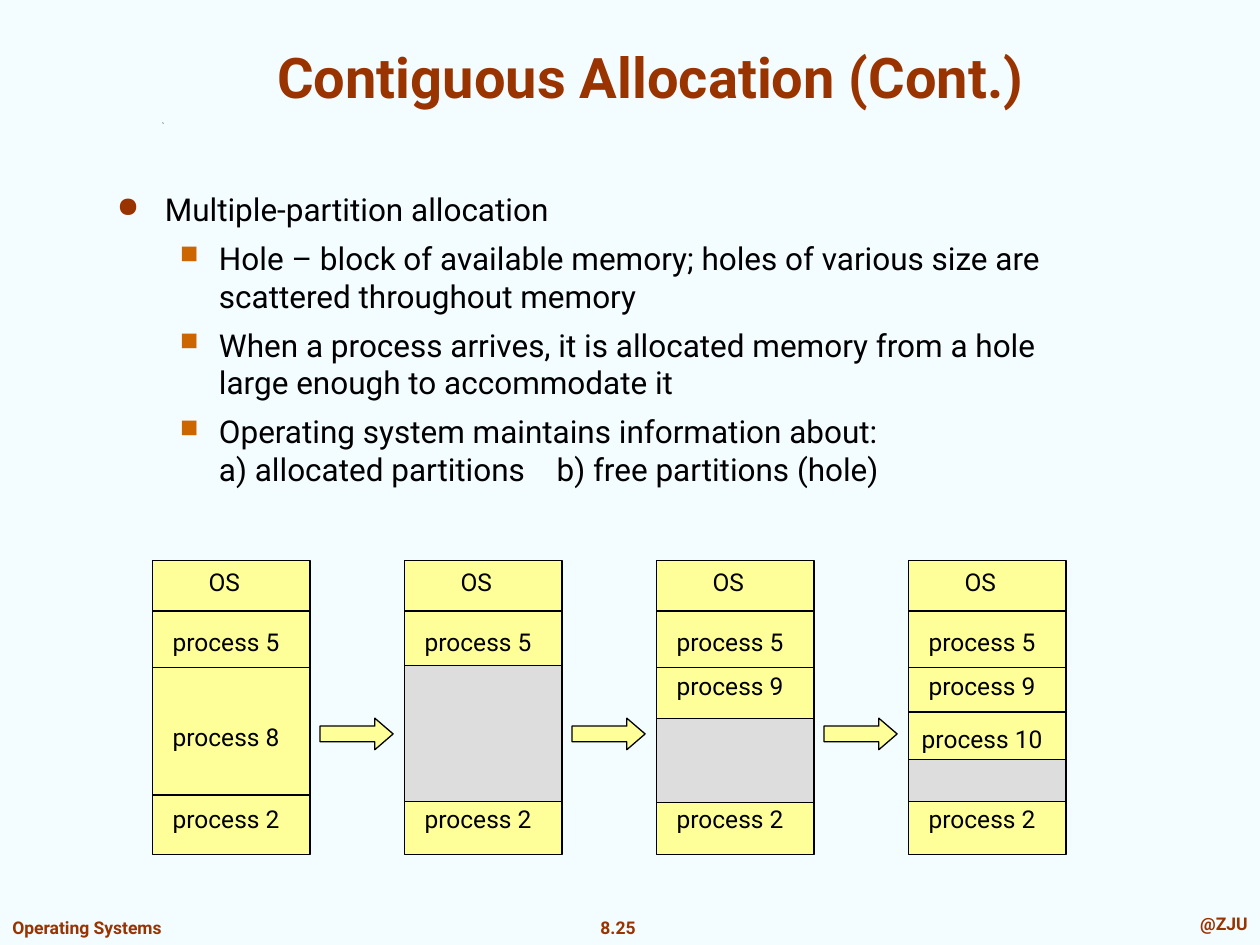
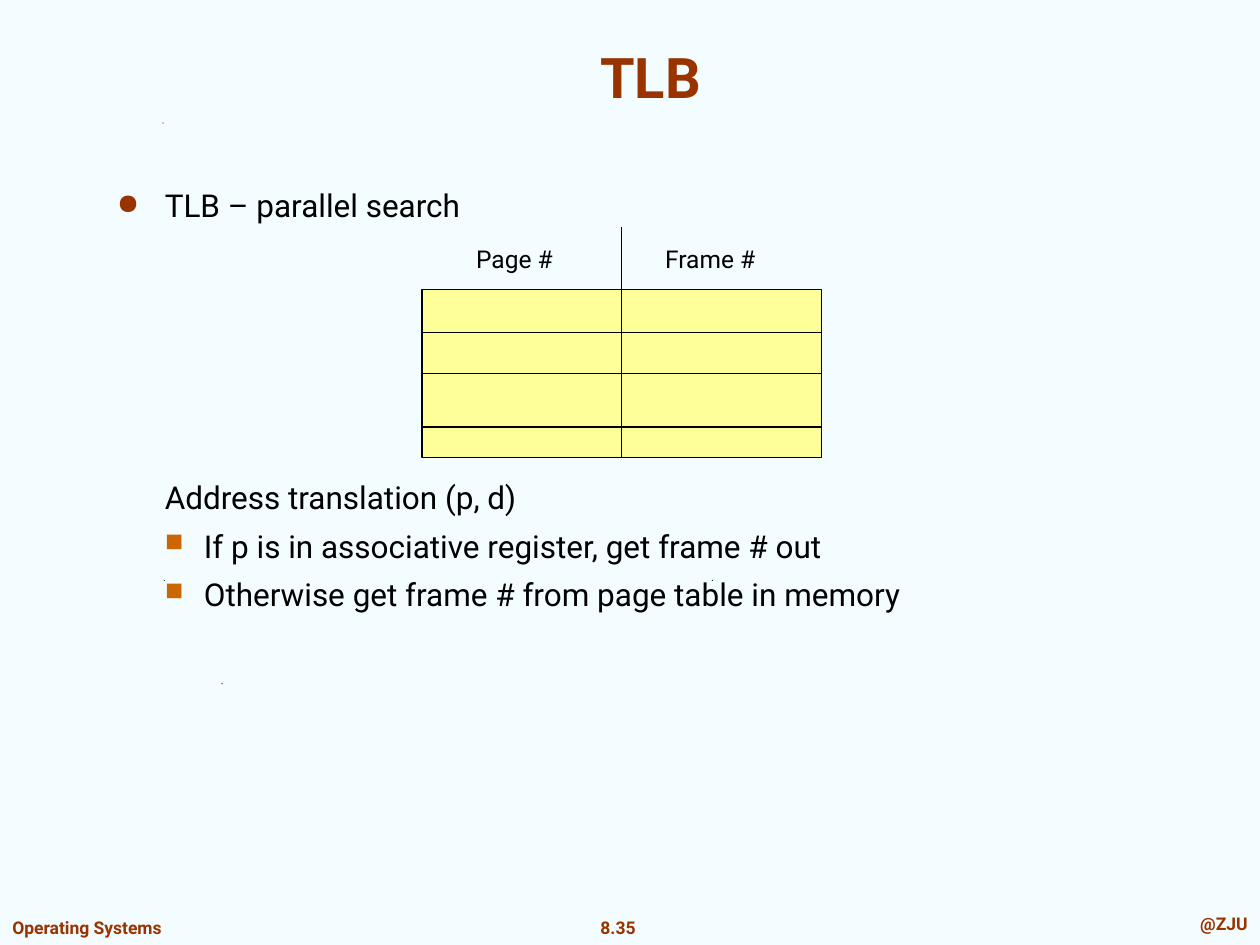
from typing import NamedTuple, Optional

from lxml import etree
from pptx import Presentation
from pptx import util as u
from pptx.dml.color import RGBColor
from pptx.enum import shapes, text
from pptx.oxml import ns

FONT = "Roboto"
INK, RUST, AMBER = "000000", "993300", "CC6600"
PAPER, YELLOW, GREY = "F3FCFF", "FFFF99", "DDDDDD"
LEFT, CENTER, RIGHT = text.PP_ALIGN.LEFT, text.PP_ALIGN.CENTER, text.PP_ALIGN.RIGHT
TOP, MIDDLE, BOTTOM = (
    text.MSO_ANCHOR.TOP, text.MSO_ANCHOR.MIDDLE, text.MSO_ANCHOR.BOTTOM
)
BODY_SPACE = 6.3
SPACE_GAP = 13.4


class Area(NamedTuple):
    left: float
    top: float
    width: float
    height: float


class Style(NamedTuple):
    size: float
    color: str = INK
    bold: bool = False
    align: text.PP_ALIGN = LEFT
    anchor: text.MSO_ANCHOR = TOP
    wrap: bool = True


class Bullet(NamedTuple):
    mark: str
    color: str
    percent: int


class Item(NamedTuple):
    lines: list[list[str]]
    margin: float
    hanging: float = 0
    bullet: Optional[Bullet] = None
    level: int = 0
    before: float = BODY_SPACE


class Label(NamedTuple):
    words: str
    top: float


class Memory(NamedTuple):
    labels: list[Label]
    hole: Optional[tuple[float, float]] = None
    extra_divider: Optional[float] = None


TITLE = Style(32, RUST, True, CENTER, BOTTOM)
BODY = Style(18)
LABEL = Style(14, align=CENTER, anchor=MIDDLE)
HEADING = Style(14, anchor=MIDDLE, wrap=False)
FOOTER = Style(10, RUST, True, wrap=False)
DISC = Bullet("●", RUST, 90)
SQUARE = Bullet("■", AMBER, 80)


def rgb(value: str) -> RGBColor:
    return RGBColor.from_string(value)


def inches(area: Area) -> list[u.Length]:
    return [u.Inches(value) for value in area]


def add_span(para, words: str, style: Style):
    span = para.add_run()
    span.text = words
    span.font.name = FONT
    span.font.size = u.Pt(style.size)
    span.font.bold = style.bold
    span.font.color.rgb = rgb(style.color)
    return span


def add_box(page, area: Area, style: Style):
    box = page.shapes.add_textbox(*inches(area))
    frame = box.text_frame
    frame.word_wrap = style.wrap
    frame.vertical_anchor = style.anchor
    frame.paragraphs[0].alignment = style.align
    return frame


def add_text(page, words: str, area: Area, style: Style) -> None:
    add_span(add_box(page, area, style).paragraphs[0], words, style)


def set_bullet(para, item: Item) -> None:
    props = para._p.get_or_add_pPr()
    props.set("marL", str(u.Inches(item.margin)))
    props.set("indent", str(u.Inches(-item.hanging)))
    if item.bullet is None:
        etree.SubElement(props, ns.qn("a:buNone"))
        return
    tint = etree.SubElement(props, ns.qn("a:buClr"))
    etree.SubElement(tint, ns.qn("a:srgbClr")).set("val", item.bullet.color)
    size = etree.SubElement(props, ns.qn("a:buSzPct"))
    size.set("val", str(item.bullet.percent * 1000))
    etree.SubElement(props, ns.qn("a:buChar")).set("char", item.bullet.mark)


def add_body(page, area: Area, items: list[Item]) -> None:
    frame = add_box(page, area, BODY)
    for index, item in enumerate(items):
        para = frame.add_paragraph() if index else frame.paragraphs[0]
        set_bullet(para, item)
        para.level = item.level
        if index:
            para.space_before = u.Pt(item.before)
        for row, parts in enumerate(item.lines):
            if row:
                para.add_line_break()
            for column, words in enumerate(parts):
                if column:
                    gap = add_span(para, " ", BODY)
                    gap.font._element.set("spc", str(round(SPACE_GAP * 100)))
                add_span(para, words, BODY)


def add_block(page, area: Area, fill: str, kind=shapes.MSO_SHAPE.RECTANGLE):
    block = page.shapes.add_shape(kind, *inches(area))
    block.shadow.inherit = False
    block.fill.solid()
    block.fill.fore_color.rgb = rgb(fill)
    block.line.color.rgb = rgb(INK)
    block.line.width = u.Pt(0.75)
    return block


def add_line(page, x1: float, y1: float, x2: float, y2: float):
    line = page.shapes.add_connector(
        shapes.MSO_CONNECTOR.STRAIGHT, *(u.Inches(v) for v in (x1, y1, x2, y2))
    )
    line.line.color.rgb = rgb(INK)
    line.line.width = u.Pt(0.75)
    etree.SubElement(line._element.spPr, ns.qn("a:effectLst"))
    return line


def add_speck(page, left: float, top: float) -> None:
    builder = page.shapes.build_freeform(
        u.Inches(left), u.Inches(top + 0.01), scale=1.0
    )
    builder.add_line_segments(
        [(u.Inches(left), u.Inches(top)),
         (u.Inches(left + 0.01), u.Inches(top + 0.01))]
    )
    speck = builder.convert_to_shape()
    speck.shadow.inherit = False
    speck.fill.solid()
    speck.fill.fore_color.rgb = rgb(INK)
    speck.line.fill.background()


def add_page(deck, title: str, number: str):
    page = deck.slides.add_slide(deck.slide_layouts[6])
    page.background.fill.solid()
    page.background.fill.fore_color.rgb = rgb(PAPER)
    add_text(page, number, Area(4.66, 7.23, 0.49, 0.27), FOOTER._replace(align=CENTER))
    add_text(page, "@ZJU", Area(7.1, 7.2, 2.9, 0.27),
             FOOTER._replace(align=RIGHT, wrap=True))
    add_text(page, "Operating Systems", Area(0, 7.23, 1.47, 0.27), FOOTER)
    add_speck(page, 1.29, 0.97)
    add_text(page, title, Area(0.75, 0.25, 8.83, 0.67), TITLE)
    return page


def add_memory(page, left: float, memory: Memory) -> None:
    top, width, height = 4.45, 1.25, 2.33
    add_block(page, Area(left, top, width, height), YELLOW)
    for y in (4.85, 5.3, 6.31):
        add_line(page, left, y, left + width, y)
    if memory.hole:
        hole_top, hole_height = memory.hole
        add_block(page, Area(left, hole_top, width, hole_height), GREY)
    if memory.extra_divider:
        y = memory.extra_divider
        add_line(page, left, y, left + width, y)
    add_text(page, "OS", Area(left + 0.33, top, 0.48, 0.33),
             LABEL._replace(wrap=False))
    shared = [Label("process 5", 4.93), Label("process 2", 6.33)]
    for label in shared + memory.labels:
        add_text(page, label.words, Area(left, label.top, 1.17, 0.33), LABEL)


def build_allocation(deck) -> None:
    page = add_page(deck, "Contiguous Allocation (Cont.)", "8.25")
    points = [
        [["Hole – block of available memory; holes of various size are "
          "scattered throughout memory"]],
        [["When a process arrives, it is allocated memory from a hole "
          "large enough to accommodate it"]],
        [["Operating system maintains information about:"],
         ["a) allocated partitions", "b) free partitions (hole)"]],
    ]
    add_body(page, Area(0.83, 1.46, 8.04, 2.85),
             [Item([["Multiple-partition allocation"]], 0.38, 0.38, DISC)]
             + [Item(lines, 0.81, 0.31, SQUARE, 1) for lines in points])
    process_9 = Label("process 9", 5.28)
    stages = [
        Memory([Label("process 8", 5.68)]),
        Memory([], (5.28, 1.08)),
        Memory([process_9], (5.7, 0.67)),
        Memory([process_9, Label("process 10", 5.7)], (6.03, 0.33), 5.65),
    ]
    first, pitch = 1.21, 2
    for index, memory in enumerate(stages):
        add_memory(page, first + pitch * index, memory)
    for index in range(len(stages) - 1):
        arrow = add_block(page, Area(first + 1.33 + pitch * index, 5.7, 0.58, 0.25),
                          YELLOW, shapes.MSO_SHAPE.RIGHT_ARROW)
        arrow.adjustments[1] = 0.58


def build_tlb(deck) -> None:
    page = add_page(deck, "TLB", "8.35")
    for left, top in ((1.76, 5.42), (1.3, 4.6), (5.65, 4.6)):
        add_speck(page, left, top)
    add_body(page, Area(0.83, 1.43, 8.04, 4.9), [
        Item([["TLB – parallel search"]], 0.38, 0.38, DISC),
        Item([["Address translation (p, d)"]], 0.38, before=145),
        Item([["If p is in associative register, get frame # out"]],
             0.69, 0.31, SQUARE, 1),
        Item([["Otherwise get frame # from page table in memory"]],
             0.69, 0.31, SQUARE, 1),
    ])
    grid = Area(3.35, 2.3, 3.17, 1.33)
    right, middle = grid.left + grid.width, grid.left + grid.width / 2
    block = add_block(page, grid, YELLOW)
    split = add_line(page, middle, 1.8, middle, grid.top + grid.height)
    split.end_connect(block, 2)
    for y in (2.64, 3.39):
        add_line(page, grid.left, y, right, y)
    center_line = add_line(page, grid.left, 2.97, right, 2.97)
    center_line.begin_connect(block, 1)
    center_line.end_connect(block, 3)
    for left, words in ((3.68, "Page #"), (5.18, "Frame #")):
        add_text(page, words, Area(left, 1.89, 1.42, 0.33), HEADING)


def main() -> None:
    deck = Presentation()
    deck.slide_width, deck.slide_height = u.Inches(10), u.Inches(7.5)
    build_allocation(deck)
    build_tlb(deck)
    deck.save("out.pptx")


if __name__ == "__main__":
    main()
